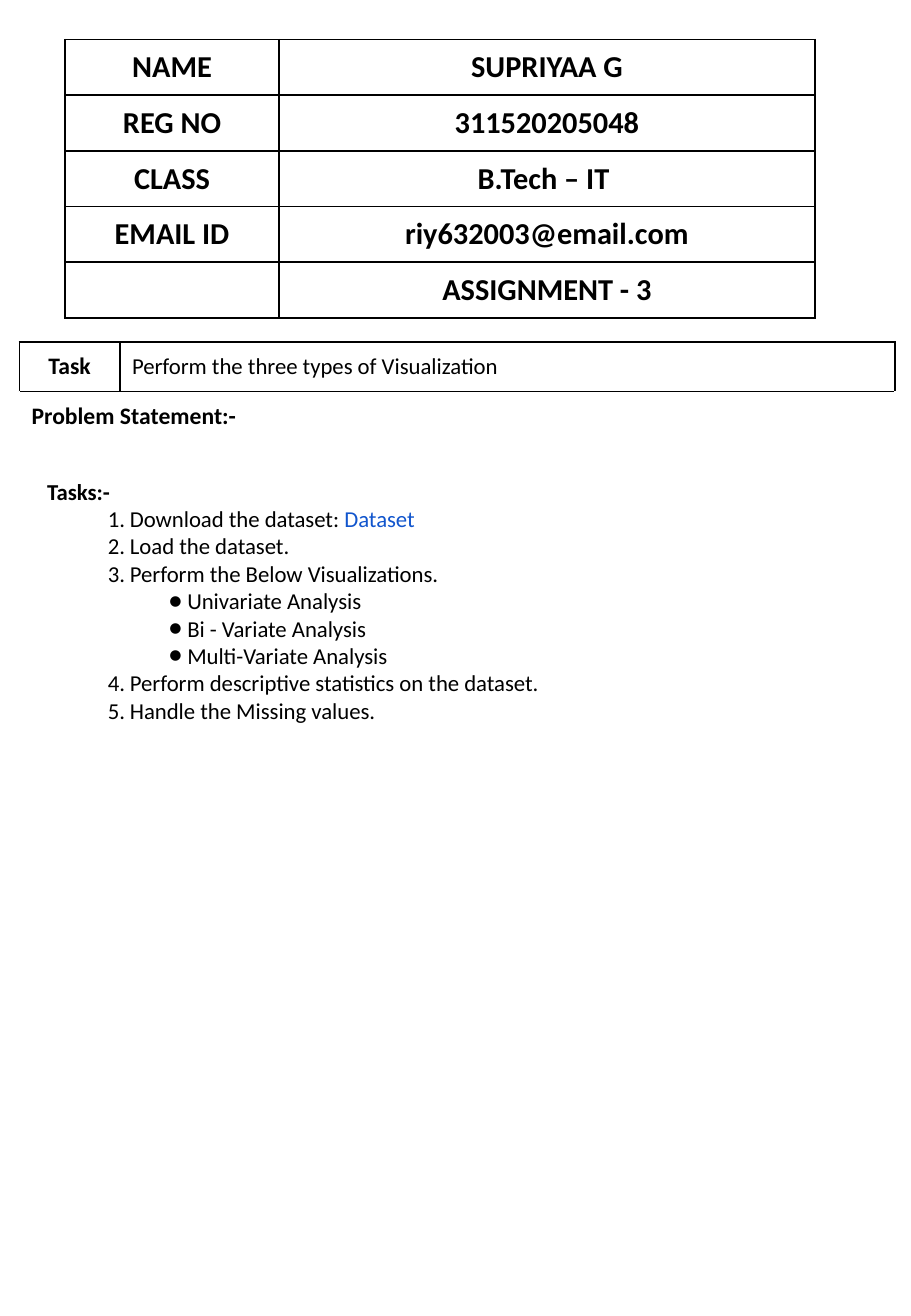
from pptx import Presentation
from pptx.dml.color import RGBColor
from pptx.enum.text import MSO_ANCHOR, MSO_AUTO_SIZE, PP_ALIGN
from pptx.oxml.ns import qn
from pptx.util import Pt
from lxml import etree

LEFT, CENTER, JUSTIFY = PP_ALIGN.LEFT, PP_ALIGN.CENTER, PP_ALIGN.JUSTIFY
TOP, MIDDLE = MSO_ANCHOR.TOP, MSO_ANCHOR.MIDDLE
NO_FIT = MSO_AUTO_SIZE.NONE
BLACK, BLUE = "000000", "1155CD"


def paint(code):
    return RGBColor.from_string(code)


def write(par, text, size=13.5, bold=False, color=BLACK, align=LEFT, font="Calibri"):
    par.alignment = align
    run = par.add_run()
    run.text = text
    run.font.name, run.font.size, run.font.bold = font, Pt(size), bold
    run.font.color.rgb = paint(color)


class Page:
    """Holds the style and the current slide."""
    line = 1
    pitch = 16.2

    def __init__(self, deck):
        self.slide = deck.slides.add_slide(deck.slide_layouts[1])

    def border(self, cell, sides):
        props = cell._tc.get_or_add_tcPr()
        for side in sides:
            edge = etree.SubElement(props, qn("a:ln" + side), w=str(Pt(self.line)))
            fill = etree.SubElement(edge, qn("a:solidFill"))
            etree.SubElement(fill, qn("a:srgbClr"), val=BLACK)

    def table(self, left, top, widths, height, rows, bare=()):
        """Draw rows of (text, format) cells; bare rows get a top line only."""
        frame = self.slide.shapes.add_table(
            len(rows), len(widths), Pt(left), Pt(top),
            Pt(sum(widths)), Pt(height * len(rows)))
        table = frame.table
        table.first_row = table.horz_banding = False
        for col, width in zip(table.columns, widths):
            col.width = Pt(width)
        for i, row in enumerate(rows):
            table.rows[i].height = Pt(height)
            for j, (text, style) in enumerate(row):
                cell = table.cell(i, j)
                self.border(cell, "T" if i in bare else "LRTB")
                cell.fill.background()
                cell.vertical_anchor = MIDDLE
                if text:
                    write(cell.text_frame.paragraphs[0], text, **style)
        return table

    def holder(self, index, left, top, width, height):
        """Place a title or body and return its text frame."""
        shape = self.slide.placeholders[index]
        shape.left, shape.top, shape.width, shape.height = map(
            Pt, (left, top, width, height))
        frame = shape.text_frame
        frame.margin_left = frame.margin_right = 0
        frame.margin_top = frame.margin_bottom = 0
        frame.word_wrap, frame.auto_size = True, NO_FIT
        frame.vertical_anchor = TOP
        return frame

    def space(self, par):
        par.space_before = par.space_after = Pt(0)
        par.line_spacing = Pt(self.pitch)

    def title(self, text, *box):
        par = self.holder(0, *box).paragraphs[0]
        self.space(par)
        write(par, text, bold=True)

    def items(self, entries, *box):
        """Fill the body with (level, runs): numbers, then dots below them."""
        frame = self.holder(1, *box)
        for i, (level, runs) in enumerate(entries):
            par = frame.add_paragraph() if i else frame.paragraphs[0]
            par.level = level
            self.space(par)
            props = par._p.get_or_add_pPr()
            indent, hang = ((49, 13), (83, 11))[level]
            props.set("marL", str(Pt(indent)))
            props.set("indent", str(-Pt(hang)))
            etree.SubElement(props, qn("a:buFont"), typeface="Calibri")
            if level:
                etree.SubElement(props, qn("a:buChar"), char="●")
            else:
                etree.SubElement(props, qn("a:buAutoNum"), type="arabicPeriod")
            for text, color in runs:
                write(par, text, color=color)


deck = Presentation()
deck.slide_width, deck.slide_height = Pt(540), Pt(780)
page = Page(deck)

# Student details
head = dict(size=18, bold=True, align=CENTER)
facts = [
    ("NAME", "SUPRIYAA G"),
    ("REG NO", "311520205048"),
    ("CLASS", "B.Tech – IT "),
    ("EMAIL ID", "riy632003@email.com"),
    ("", "ASSIGNMENT - 3"),
]
page.table(38.5, 23.4, (127, 317.5), 33,
           [[(text, head) for text in pair] for pair in facts])

# Task and problem statement
label = dict(size=14, bold=True)
task = page.table(11.5, 202.8, (59.6, 459.4), 29.25, [
    [("Task", dict(label, align=CENTER)),
     ("Perform the three types of Visualization", dict(align=JUSTIFY))],
    [("Problem Statement:-", label), ("", {})],
], bare=(1,))
task.cell(1, 0).merge(task.cell(1, 1))

# Task list
page.title("Tasks:-", 28, 283, 500, page.pitch)
page.items([
    (0, [("Download the dataset: ", BLACK), ("Dataset", BLUE)]),
    (0, [("Load the dataset.", BLACK)]),
    (0, [("Perform the Below Visualizations.", BLACK)]),
    (1, [("Univariate Analysis", BLACK)]),
    (1, [("Bi - Variate Analysis", BLACK)]),
    (1, [("Multi-Variate Analysis", BLACK)]),
    (0, [("Perform descriptive statistics on the dataset.", BLACK)]),
    (0, [("Handle the Missing values.", BLACK)]),
], 28, 283 + page.pitch, 500, 8 * page.pitch)

deck.save("out.pptx")
